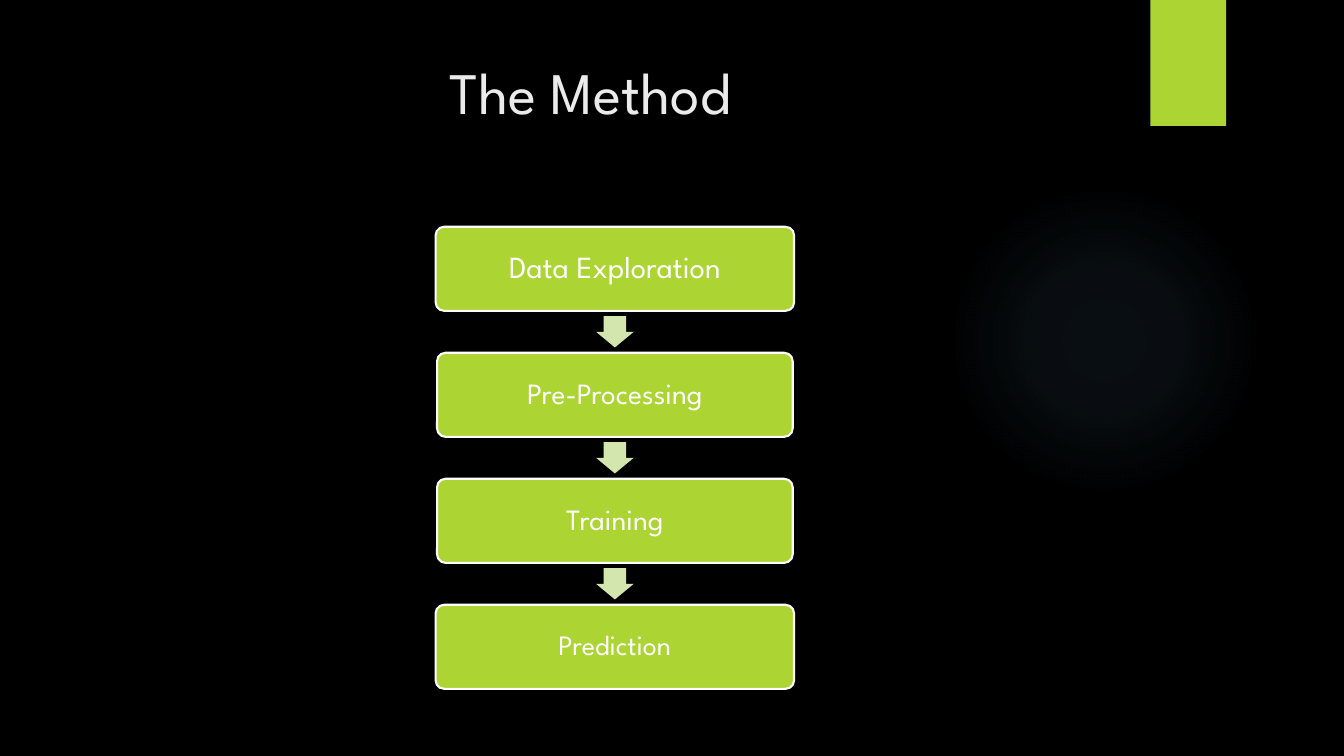
from lxml.etree import SubElement
from pptx import Presentation
from pptx.dml.color import RGBColor
from pptx.enum.shapes import MSO_SHAPE
from pptx.enum.text import MSO_ANCHOR, MSO_AUTO_SIZE, PP_ALIGN
from pptx.oxml import parse_xml
from pptx.oxml.ns import nsdecls, qn
from pptx.util import Pt

BLACK = RGBColor(0x00, 0x00, 0x00)
WHITE = RGBColor(0xFF, 0xFF, 0xFF)
OFF_WHITE = RGBColor(0xEB, 0xEB, 0xEB)
LIME = RGBColor(0xAC, 0xD4, 0x33)
PALE_LIME = RGBColor(0xD2, 0xE6, 0xAE)
SKY = RGBColor(0x7A, 0xC4, 0xF0)

STEPS = [("Data Exploration", 22, 256), ("Pre-Processing", 21, 254),
         ("Training", 21, 254), ("Prediction", 20, 256)]
FLOW_CENTER = 439.2
FLOW_TOP = 162
STEP_PITCH = 90
STEP_HEIGHT = 60
ARROW_WIDTH = 27
ARROW_HEIGHT = 22.4


class SlideBuilder:
    font = "League Spartan"

    def __init__(self, deck):
        self.page = deck.slides.add_slide(deck.slide_layouts[5])
        self.page.background.fill.solid()
        self.page.background.fill.fore_color.rgb = BLACK

    def add_text(self, frame, text, size, color, anchor):
        frame.word_wrap = True
        frame.auto_size = MSO_AUTO_SIZE.NONE
        frame.vertical_anchor = anchor
        para = frame.paragraphs[0]
        para.alignment = PP_ALIGN.CENTER
        span = para.add_run()
        span.text = text
        span.font.name = self.font
        span.font.size = Pt(size)
        span.font.color.rgb = color
        return para

    def title(self, text, left, top, width, height):
        box = self.page.shapes.title
        box.left, box.top, box.width, box.height = map(Pt, (left, top, width, height))
        self.add_text(box.text_frame, text, 42, OFF_WHITE, MSO_ANCHOR.TOP)

    def shape(self, kind, left, top, width, height, color, adjustments=()):
        box = self.page.shapes.add_shape(kind, *map(Pt, (left, top, width, height)))
        box.shadow.inherit = False
        box.fill.solid()
        box.fill.fore_color.rgb = color
        box.line.fill.background()
        for index, value in enumerate(adjustments):
            box.adjustments[index] = value
        return box

    def glow(self, left, top, size, color, stops):
        box = self.shape(MSO_SHAPE.OVAL, left, top, size, size, color)
        gradient = parse_xml(f'<a:gradFill {nsdecls("a")}><a:gsLst/><a:path path="circle">'
                             '<a:fillToRect l="50000" t="50000" r="50000" b="50000"/>'
                             '</a:path></a:gradFill>')
        for position, opacity in stops:
            stop = SubElement(gradient[0], qn("a:gs"), pos=str(position * 1000))
            tint = SubElement(stop, qn("a:srgbClr"), val=str(color))
            SubElement(tint, qn("a:alpha"), val=str(opacity * 1000))
        solid = box.element.spPr.find(qn("a:solidFill"))
        box.element.spPr.replace(solid, gradient)

    def step(self, text, size, width, top):
        box = self.shape(MSO_SHAPE.ROUNDED_RECTANGLE, FLOW_CENTER - width / 2, top,
                         width, STEP_HEIGHT, LIME, [0.1])
        box.line.color.rgb = WHITE
        box.line.width = Pt(1.5)
        para = self.add_text(box.text_frame, text, size, WHITE, MSO_ANCHOR.MIDDLE)
        para.line_spacing = 0.9

    def arrow(self, center):
        self.shape(MSO_SHAPE.DOWN_ARROW, FLOW_CENTER - ARROW_WIDTH / 2,
                   center - ARROW_HEIGHT / 2, ARROW_WIDTH, ARROW_HEIGHT,
                   PALE_LIME, [0.6, 0.5])


def main():
    deck = Presentation()
    deck.slide_width, deck.slide_height = Pt(960), Pt(540)
    slide = SlideBuilder(deck)
    slide.glow(677.5, 131.8, 221.8, SKY, [(0, 7), (36, 6), (69, 0)])
    slide.shape(MSO_SHAPE.RECTANGLE, 821.8, 0, 54, 90, LIME)
    slide.title("The Method", 51, 36, 741, 110)
    for index, (text, size, width) in enumerate(STEPS):
        top = FLOW_TOP + index * STEP_PITCH
        if index:
            slide.arrow(top - (STEP_PITCH - STEP_HEIGHT) / 2)
        slide.step(text, size, width, top)
    deck.save("out.pptx")


if __name__ == "__main__":
    main()
